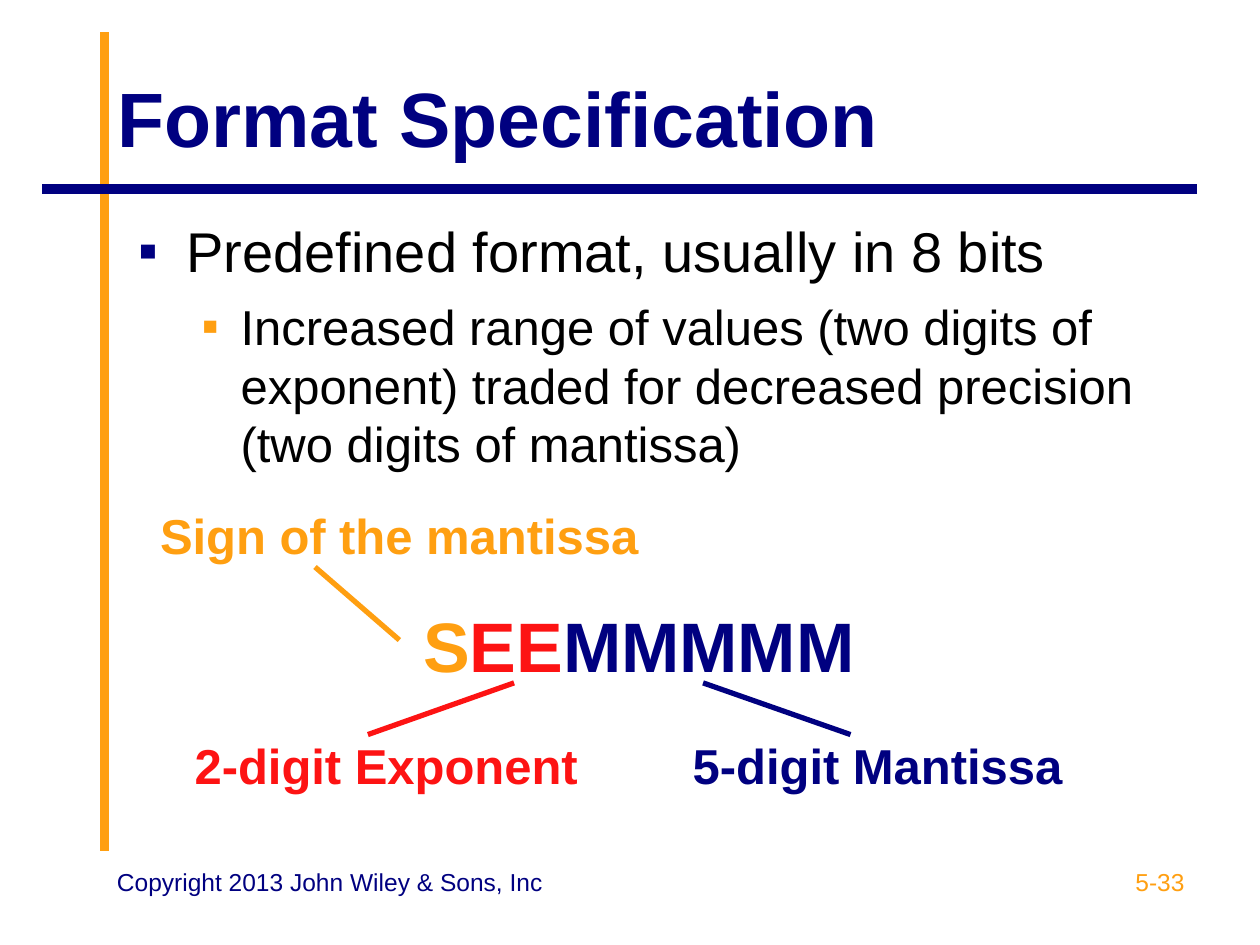
from lxml.etree import SubElement
from pptx import Presentation
from pptx.dml.color import RGBColor
from pptx.enum.shapes import MSO_CONNECTOR
from pptx.enum.text import MSO_ANCHOR, MSO_AUTO_SIZE, PP_ALIGN
from pptx.oxml.ns import qn
from pptx.util import Inches, Pt

ORANGE = RGBColor(0xFF, 0x9F, 0x11)
NAVY = RGBColor(0x00, 0x00, 0x80)
RED = RGBColor(0xFD, 0x13, 0x13)
BLACK = RGBColor(0x00, 0x00, 0x00)


class SlideBuilder:
    font = "Arial"

    def __init__(self, slide):
        self.slide = slide

    def place(self, sp, box):
        sp.left, sp.top, sp.width, sp.height = [Inches(v) for v in box]

    def format_run(self, r, size, color, bold=False):
        r.font.name = self.font
        r.font.size = Pt(size)
        r.font.bold = bold
        r.font.color.rgb = color

    def line(self, start, end, color, width):
        x1, y1, x2, y2 = [Inches(v) for v in start + end]
        cxn = self.slide.shapes.add_connector(MSO_CONNECTOR.STRAIGHT, x1, y1, x2, y2)
        cxn.line.color.rgb = color
        cxn.line.width = Pt(width)
        SubElement(cxn._element.spPr, qn("a:effectLst"))

    def title(self, text, box):
        sp = self.slide.shapes.title
        self.place(sp, box)
        tf = sp.text_frame
        tf.text = text
        tf.auto_size = MSO_AUTO_SIZE.NONE
        tf.vertical_anchor = MSO_ANCHOR.MIDDLE
        p = tf.paragraphs[0]
        p.alignment = PP_ALIGN.LEFT
        self.format_run(p.runs[0], 44, NAVY, True)

    def bullet(self, p, color, margin, hanging):
        pPr = p._p.get_or_add_pPr()
        pPr.set("marL", str(Inches(margin)))
        pPr.set("indent", str(-Inches(hanging)))
        clr = SubElement(pPr, qn("a:buClr"))
        SubElement(clr, qn("a:srgbClr")).set("val", str(color))
        SubElement(pPr, qn("a:buFont")).set("typeface", self.font)
        SubElement(pPr, qn("a:buChar")).set("char", "▪")

    def body(self, items, box):
        sp = self.slide.placeholders[1]
        self.place(sp, box)
        tf = sp.text_frame
        tf.text = "\n".join(item[0] for item in items)
        tf.auto_size = MSO_AUTO_SIZE.NONE
        for p, (_, level, size, color, margin, hanging, before) in zip(tf.paragraphs, items):
            p.level = level
            self.bullet(p, color, margin, hanging)
            p.space_before = Pt(before)
            self.format_run(p.runs[0], size, BLACK)

    def label(self, text, box, color, align):
        sp = self.slide.shapes.add_textbox(*[Inches(v) for v in box])
        tf = sp.text_frame
        tf.word_wrap = True
        tf.text = text
        p = tf.paragraphs[0]
        p.alignment = align
        self.format_run(p.runs[0], 14, color)

    def table(self, box, widths, heights):
        frame = self.slide.shapes.add_table(
            len(heights), len(widths), *[Inches(v) for v in box])
        table = frame.table
        table.first_row = table.horz_banding = False
        for col, width in zip(table.columns, widths):
            col.width = Inches(width)
        for row, height in zip(table.rows, heights):
            row.height = Inches(height)
        for cell in table.iter_cells():
            cell.fill.background()
        return table

    def cell(self, cell, parts, size, align=PP_ALIGN.CENTER, spacing=1.0):
        p = cell.text_frame.paragraphs[0]
        p.alignment = align
        p.line_spacing = spacing
        for text, color in parts:
            r = p.add_run()
            r.text = text
            self.format_run(r, size, color, True)


def main():
    prs = Presentation()
    prs.slide_width, prs.slide_height = Inches(10), Inches(7.5)
    s = SlideBuilder(prs.slides.add_slide(prs.slide_layouts[1]))

    s.line((0.83, 6.75), (0.83, 0.25), ORANGE, 5.5)
    s.line((9.5, 1.5), (0.33, 1.5), NAVY, 5.5)
    s.title("Format Specification", (0.83, 0.3, 8.67, 1.25))
    s.body([
        ("Predefined format, usually in 8 bits", 0, 32, NAVY, 0.38, 0.38, 0),
        ("Increased range of values (two digits of exponent) traded for "
         "decreased precision (two digits of mantissa)", 1, 28, ORANGE, 0.81, 0.31, 7),
    ], (1, 1.67, 8.5, 4.95))

    table = s.table((1.17, 4, 7.8, 2.41), (3.79, 4.01), (0.57, 1.02, 0.82))
    for row in range(2):
        table.cell(row, 0).merge(table.cell(row, 1))
    s.cell(table.cell(0, 0), [("Sign of the mantissa", ORANGE)], 28, PP_ALIGN.LEFT)
    s.cell(table.cell(1, 0), [("S", ORANGE), ("EE", RED), ("MMMMM", NAVY)], 40, spacing=1.35)
    s.cell(table.cell(2, 0), [("2-digit Exponent", RED)], 28, spacing=1.55)
    s.cell(table.cell(2, 1), [("5-digit Mantissa", NAVY)], 28, spacing=1.55)

    s.line((2.5, 4.5), (3.17, 5.08), ORANGE, 3)
    s.line((6.75, 5.83), (5.58, 5.42), NAVY, 3)
    s.line((2.92, 5.83), (4.08, 5.42), RED, 3)

    s.label("Copyright 2013 John Wiley & Sons, Inc", (0.83, 6.83, 4, 0.52), NAVY, PP_ALIGN.LEFT)
    s.label("5-33", (7.17, 6.83, 2.33, 0.52), ORANGE, PP_ALIGN.RIGHT)
    prs.save("out.pptx")


if __name__ == "__main__":
    main()
